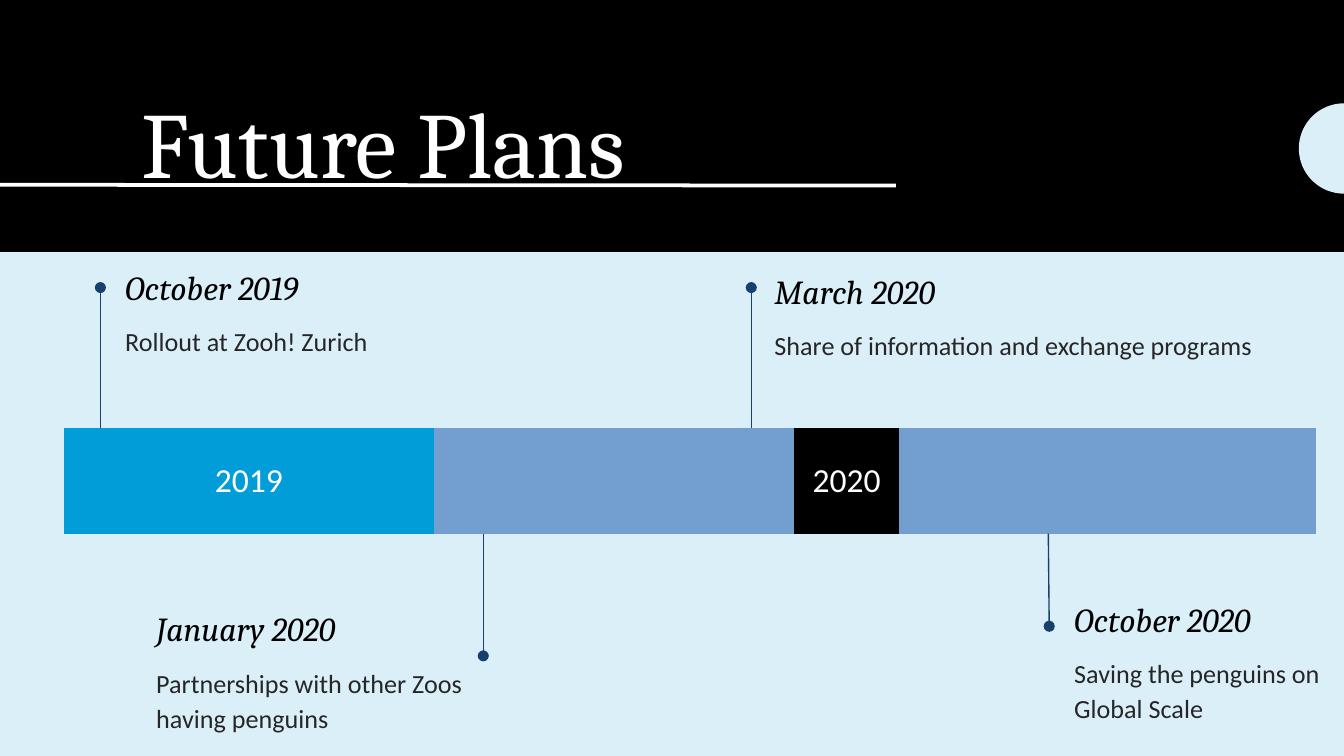
from math import cos, pi, sin

from lxml.etree import SubElement
from pptx import Presentation
from pptx.dml.color import RGBColor
from pptx.enum.shapes import MSO_CONNECTOR as Connector
from pptx.enum.shapes import MSO_SHAPE as Shape
from pptx.enum.text import MSO_ANCHOR as Anchor
from pptx.enum.text import MSO_AUTO_SIZE as AutoSize
from pptx.enum.text import PP_ALIGN as Align
from pptx.oxml.ns import qn
from pptx.util import Inches, Pt

BLACK = RGBColor(0x00, 0x00, 0x00)
WHITE = RGBColor(0xFF, 0xFF, 0xFF)
PALE = RGBColor(0xDB, 0xEF, 0xF9)
INK = RGBColor(0x26, 0x26, 0x26)
NAVY = RGBColor(0x17, 0x40, 0x6D)
CYAN = RGBColor(0x00, 0x9D, 0xD9)
STEEL = RGBColor(0x72, 0x9F, 0xCF)

COLUMNS, ROWS = 100, 56.25
BAR_LEFT, BAR_TOP, BAR_HEIGHT = 4.77, 31.84, 7.87
BAR_BOTTOM = BAR_TOP + BAR_HEIGHT
MONTH, SHORT_MONTH, LONG_MONTH = 7.77, 4.2, 11.3
BAR_COLUMNS = [MONTH] * 3 + [SHORT_MONTH, LONG_MONTH] + [MONTH] * 7
YEARS = [("2019", CYAN, 0, 3), ("2020", BLACK, 4, 11)]

MILESTONES = [
    ("October 2019", "Rollout at Zooh! Zurich", 8.34, 19.4, 25.3),
    ("January 2020", "Partnerships with other Zoos having penguins", 10.64, 44.8, 25.3),
    ("March 2020", "Share of information and exchange programs", 56.64, 19.7, 38.6),
    ("October 2020", "Saving the penguins on Global Scale", 78.94, 44.1, 25.7),
]
PINS = [
    (7.47, BAR_TOP, 7.47, 21.4),
    (35.96, BAR_BOTTOM, 35.96, 48.8),
    (55.9, BAR_TOP, 55.9, 21.4),
    (78, BAR_BOTTOM, 78.07, 46.6),
]


def grid(*steps):
    return [Inches(step / 10) for step in steps]


def add_span(para, text, font, size, color, italic=None):
    span = para.add_run()
    span.text = text
    span.font.name = font
    span.font.size = Pt(size)
    span.font.color.rgb = color
    span.font.italic = italic


def paint(shape, color):
    shape.shadow.inherit = False
    shape.fill.solid()
    shape.fill.fore_color.rgb = color
    shape.line.fill.background()


def add_line(page, ends, color, width, dot=False):
    line = page.shapes.add_connector(Connector.STRAIGHT, *grid(*ends))
    line.line.color.rgb = color
    line.line.width = Pt(width)
    if dot:
        SubElement(line.line._get_or_add_ln(), qn("a:tailEnd"), type="oval")
    SubElement(line.element.spPr, qn("a:effectLst"))


def add_half_disc(page, middle, radius, color, steps=48):
    angles = [pi / 2 + pi * step / steps for step in range(steps + 1)]
    points = [
        tuple(grid(COLUMNS + radius * cos(angle), middle - radius * sin(angle)))
        for angle in angles
    ]
    builder = page.shapes.build_freeform(*points[0])
    builder.add_line_segments(points[1:], close=True)
    paint(builder.convert_to_shape(), color)


def add_header(page):
    for color, height in ((PALE, ROWS), (BLACK, ROWS / 3)):
        paint(page.shapes.add_shape(Shape.RECTANGLE, *grid(0, 0, COLUMNS, height)), color)
    add_line(page, (0, 13.75, COLUMNS * 2 / 3, 13.81), WHITE, 2)
    add_half_disc(page, 11.05, 3.36, PALE)

    title = page.shapes.title
    title.left, title.top, title.width, title.height = grid(9.54, 5.22, 58.8, 10.1)
    frame = title.text_frame
    frame.auto_size = AutoSize.NONE
    frame.vertical_anchor = Anchor.BOTTOM
    para = frame.paragraphs[0]
    para.alignment = Align.LEFT
    para.line_spacing = 0.9
    add_span(para, "Future Plans", "Cambria", 50, WHITE)
    title.element.getparent().append(title.element)


def add_box(page, place, anchor, spacing):
    frame = page.shapes.add_textbox(*grid(*place)).text_frame
    frame.word_wrap = True
    frame.vertical_anchor = anchor
    frame.margin_top = frame.margin_bottom = Inches(0.1)
    para = frame.paragraphs[0]
    para.line_spacing = spacing
    return para


def add_milestone(page, date, plan, left, top, width):
    para = add_box(page, (left, top, width, 4.3), Anchor.MIDDLE, 0.9)
    add_span(para, date, "Cambria", 18, BLACK, italic=True)
    para = add_box(page, (left, top + 3.56, width, 6.3), Anchor.TOP, 1.12)
    para.space_after = Pt(16)
    add_span(para, plan, "Calibri", 14, INK)


def clear_edges(cell):
    for position, side in enumerate(("lnL", "lnR", "lnT", "lnB")):
        properties = cell._tc.get_or_add_tcPr()
        edge = properties.makeelement(qn(f"a:{side}"), {"w": "0"})
        SubElement(edge, qn("a:noFill"))
        properties.insert(position, edge)


def fill_cell(cell, color):
    cell.fill.solid()
    cell.fill.fore_color.rgb = color


def add_year(table, year, color, first, last):
    cell = table.cell(0, first)
    cell.merge(table.cell(0, last))
    fill_cell(cell, color)
    cell.vertical_anchor = Anchor.MIDDLE
    cell.margin_top = cell.margin_bottom = Inches(0.1)
    para = cell.text_frame.paragraphs[0]
    para.alignment = Align.CENTER
    add_span(para, year, "Calibri", 18, WHITE)


def add_year_bar(page):
    place = grid(BAR_LEFT, BAR_TOP, sum(BAR_COLUMNS), BAR_HEIGHT)
    table = page.shapes.add_table(1, len(BAR_COLUMNS), *place).table
    table.first_row = table.horz_banding = False
    for column, width in zip(table.columns, grid(*BAR_COLUMNS)):
        column.width = width
    for cell in table.iter_cells():
        fill_cell(cell, STEEL)
        clear_edges(cell)
    for year in YEARS:
        add_year(table, *year)


def main():
    deck = Presentation()
    deck.slide_width, deck.slide_height = grid(COLUMNS, ROWS)
    page = deck.slides.add_slide(deck.slide_layouts[5])
    page.background.fill.solid()
    page.background.fill.fore_color.rgb = PALE
    add_header(page)
    for milestone in MILESTONES:
        add_milestone(page, *milestone)
    add_year_bar(page)
    for pin in PINS:
        add_line(page, pin, NAVY, 0.75, dot=True)
    deck.save("out.pptx")


if __name__ == "__main__":
    main()
